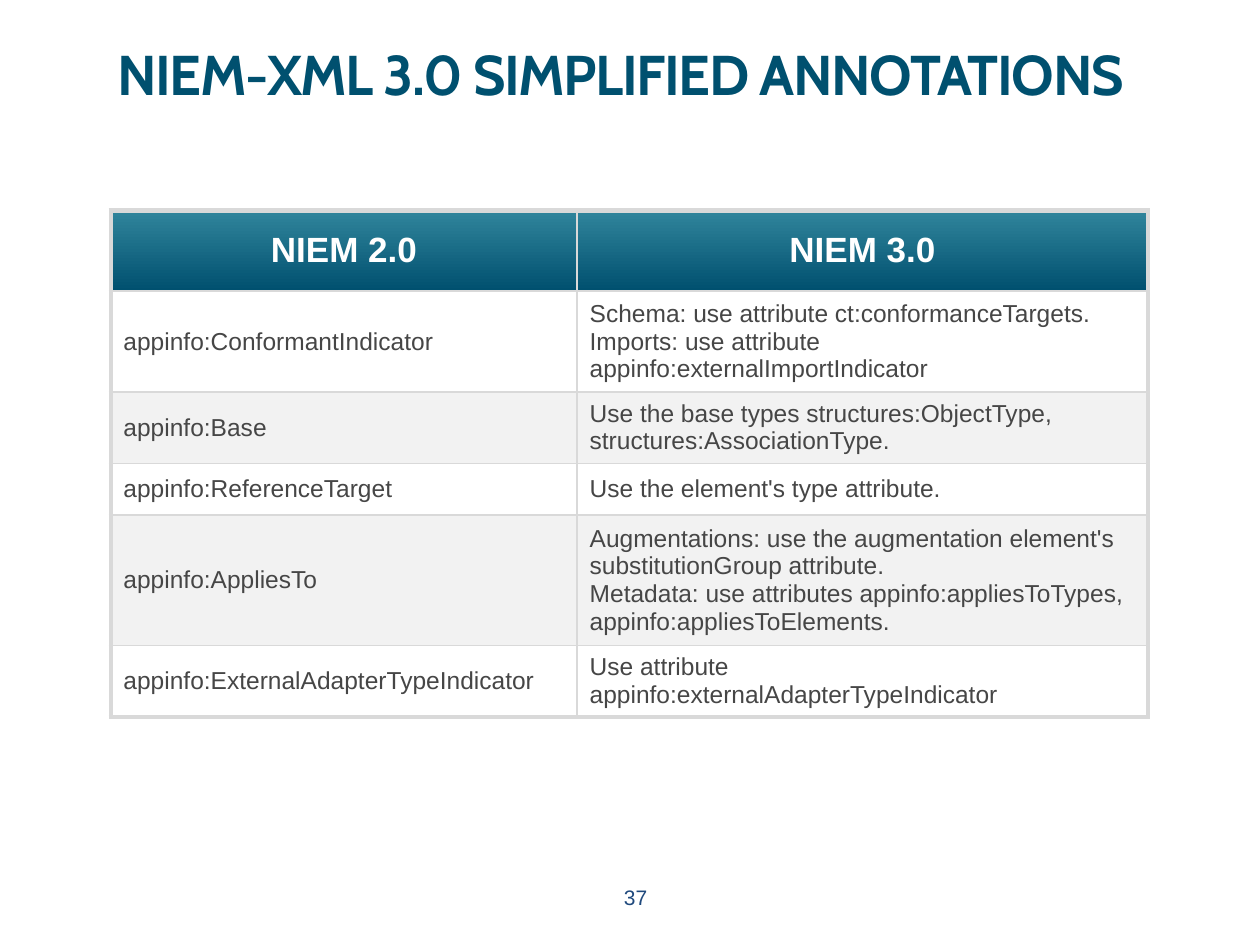
"""Build the slide on simplified annotations in NIEM-XML 3.0."""
from lxml.etree import SubElement as Sub
from pptx import Presentation as Deck
from pptx.dml.color import RGBColor as Color
from pptx.enum.text import MSO_ANCHOR as Anchor, MSO_AUTO_SIZE as Fit, PP_ALIGN as Align
from pptx.oxml import parse_xml
from pptx.oxml.ns import nsdecls, qn
from pptx.util import Inches, Pt

TITLE = "NIEM-XML 3.0 SIMPLIFIED ANNOTATIONS"
PAGE = "37"
ROWS = [
    (["NIEM 2.0"], ["NIEM 3.0"]),
    (["appinfo:ConformantIndicator"],
     ["Schema: use attribute ct:conformanceTargets.",
      "Imports: use attribute appinfo:externalImportIndicator"]),
    (["appinfo:Base"],
     ["Use the base types structures:ObjectType, structures:AssociationType."]),
    (["appinfo:ReferenceTarget"], ["Use the element's type attribute."]),
    (["appinfo:AppliesTo"],
     ["Augmentations: use the augmentation element's substitutionGroup attribute.",
      "Metadata: use attributes appinfo:appliesToTypes, appinfo:appliesToElements."]),
    (["appinfo:ExternalAdapterTypeIndicator"],
     ["Use attribute appinfo:externalAdapterTypeIndicator"]),
]
WIDTHS = [3.7, 4.53]
HEIGHTS = [0.64, 0.76, 0.54, 0.41, 0.97, 0.54]

THEME = {
    "title": {"name": "Cabin", "size": 32, "bold": True, "color": "00506F"},
    "head": {"name": "Arial", "size": 20, "bold": True, "color": "FFFFFF"},
    "body": {"name": "Arial", "size": 14, "bold": False, "color": "464646"},
    "page": {"name": "Arial", "size": 12, "bold": False, "color": "1F497D"},
    "bands": ["F2F2F2", "FFFFFF"],
    "fade": ["00506F", "31859C"],
    "rule": "D9D9D9",
    "thin": 1,
    "thick": 3,
}


def style(font, look):
    for key, val in look.items():
        if key == "color":
            font.color.rgb = Color.from_string(val)
        else:
            setattr(font, key, Pt(val) if key == "size" else val)


def write(frame, lines, look, align):
    for i, line in enumerate(lines):
        para = frame.add_paragraph() if i else frame.paragraphs[0]
        para.alignment = align
        run = para.add_run()
        run.text = line
        style(run.font, look)


def place(shape, *box):
    for key, val in zip(("left", "top", "width", "height"), box):
        setattr(shape, key, Inches(val))


def paint(fill, row):
    if row:
        fill.solid()
        fill.fore_color.rgb = Color.from_string(THEME["bands"][row % 2])
        return
    fill.gradient()
    fill.gradient_angle = 90
    for stop, tone in zip(fill.gradient_stops, THEME["fade"]):
        stop.color.rgb = Color.from_string(tone)


def edge(cell, outer):
    props = cell._tc.get_or_add_tcPr()
    for i, (side, out) in enumerate(outer.items()):
        width = Pt(THEME["thick" if out else "thin"])
        line = parse_xml(f'<a:ln{side} {nsdecls("a")} w="{width}"/>')
        solid = Sub(line, qn("a:solidFill"))
        Sub(solid, qn("a:srgbClr"), val=THEME["rule"])
        props.insert(i, line)


def add_grid(slide):
    last, end = len(ROWS) - 1, len(WIDTHS) - 1
    box = (0.88, 1.67, sum(WIDTHS), sum(HEIGHTS))
    grid = slide.shapes.add_table(len(ROWS), len(WIDTHS), *map(Inches, box)).table
    grid.horz_banding = False
    for col, width in zip(grid.columns, WIDTHS):
        col.width = Inches(width)
    for r, (row, high) in enumerate(zip(ROWS, HEIGHTS)):
        grid.rows[r].height = Inches(high)
        look, align = ("body", Align.LEFT) if r else ("head", Align.CENTER)
        for c, lines in enumerate(row):
            cell = grid.cell(r, c)
            cell.vertical_anchor = Anchor.MIDDLE
            write(cell.text_frame, lines, THEME[look], align)
            paint(cell.fill, r)
            edge(cell, {"L": c == 0, "R": c == end, "T": r == 0, "B": r == last})


def add_title(slide):
    title = slide.shapes.title
    place(title, 0.5, 0.42, 8.85, 0.89)
    frame = title.text_frame
    looks = {"vertical_anchor": Anchor.TOP, "auto_size": Fit.NONE, "word_wrap": True}
    looks.update({f"margin_{side}": 0 for side in ("left", "top", "right", "bottom")})
    for key, val in looks.items():
        setattr(frame, key, val)
    write(frame, [TITLE], THEME["title"], Align.CENTER)
    para = frame.paragraphs[0]
    para.line_spacing = 0.8
    para.runs[0]._r.get_or_add_rPr().set("spc", "-80")


def main():
    deck = Deck()
    deck.slide_width, deck.slide_height = Inches(10), Inches(7.5)
    slide = deck.slides.add_slide(deck.slide_layouts[5])
    add_title(slide)
    page = slide.shapes.add_textbox(*map(Inches, (3.88, 6.97, 2.33, 0.4)))
    page.text_frame.word_wrap = True
    write(page.text_frame, [PAGE], THEME["page"], Align.CENTER)
    add_grid(slide)
    deck.save("out.pptx")


if __name__ == "__main__":
    main()
